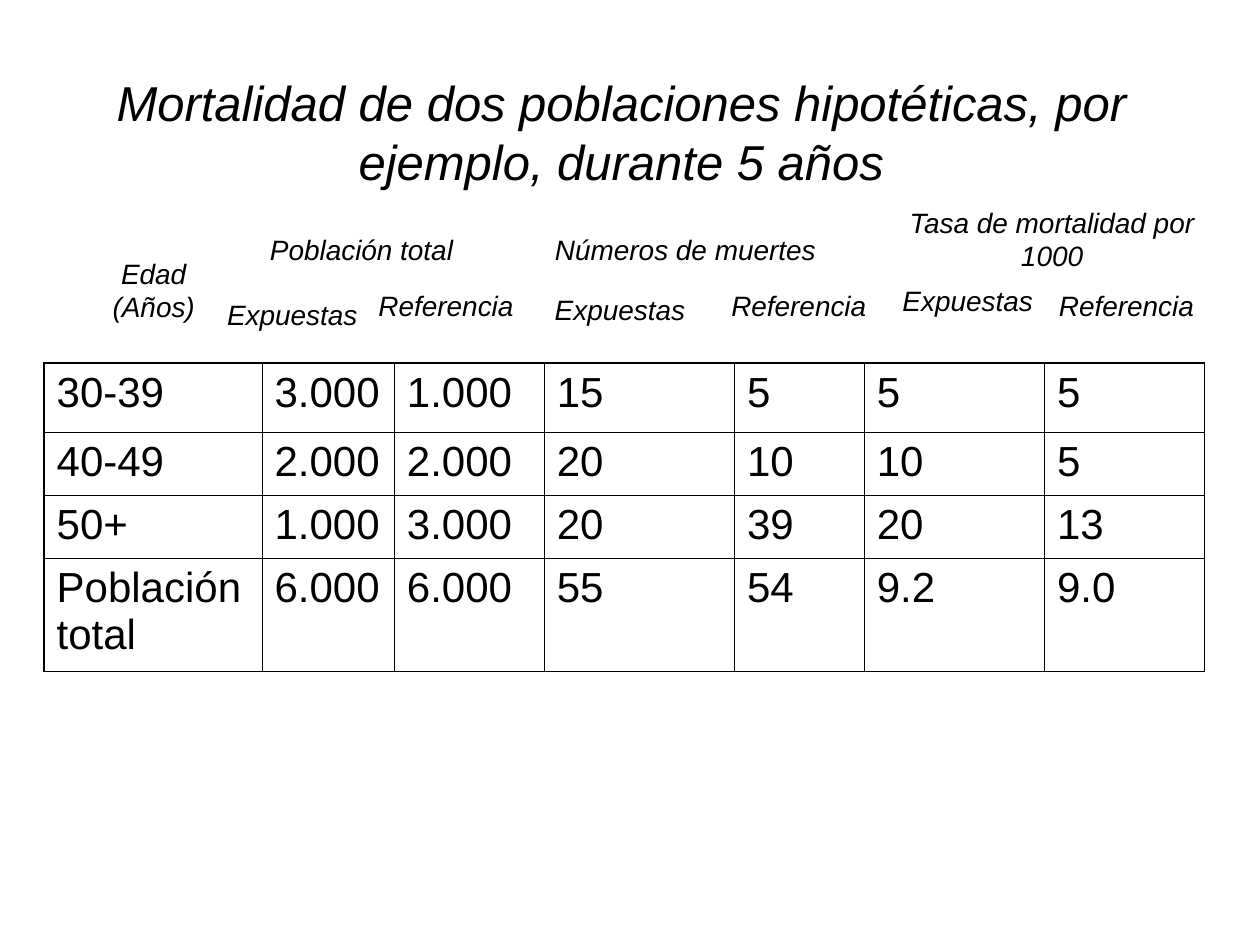
from dataclasses import dataclass

from lxml.etree import SubElement
from pptx import Presentation
from pptx.dml.color import RGBColor
from pptx.enum.text import MSO_ANCHOR, MSO_AUTO_SIZE, PP_ALIGN
from pptx.oxml.ns import qn
from pptx.util import Inches, Pt


@dataclass(frozen=True)
class Theme:
    font: str = "Arial"
    ink: str = "000000"
    title_size: float = 28
    heading_size: float = 16
    cell_size: float = 24
    outer_line: float = 1.08
    inner_line: float = 0.45


@dataclass(frozen=True)
class Heading:
    text: str
    left: float
    top: float
    width: float
    height: float


THEME = Theme()

TITLE = Heading("Mortalidad de dos poblaciones hipotéticas, por ejemplo, durante 5 años",
                0.43, 0.68, 9, 0.73)

HEADINGS = [
    Heading("Edad\v(Años)", 0.51, 1.78, 1.42, 1.04),
    Heading("Población total", 1.77, 1.78, 2.2, 0.39),
    Heading("Expuestas", 1.69, 2.33, 1.26, 0.33),
    Heading("Referencia", 2.87, 2.18, 1.34, 0.49),
    Heading("Números de muertes", 4.06, 1.78, 2.76, 0.39),
    Heading("Expuestas", 4.29, 2.25, 1.26, 0.41),
    Heading("Referencia", 5.63, 2.18, 1.42, 0.49),
    Heading("Referencia", 8.23, 2.18, 1.42, 0.49),
    Heading("Expuestas", 7.05, 2.18, 1.26, 0.41),
    Heading("Tasa de mortalidad por 1000", 6.97, 1.7, 2.76, 0.39),
]

MORTALITY = [
    ["30-39", "3.000", "1.000", "15", "5", "5", "5"],
    ["40-49", "2.000", "2.000", "20", "10", "10", "5"],
    ["50+", "1.000", "3.000", "20", "39", "20", "13"],
    ["Población total", "6.000", "6.000", "55", "54", "9.2", "9.0"],
]
COLUMN_WIDTHS = [1.73, 1.05, 1.19, 1.51, 1.03, 1.43, 1.27]
ROW_HEIGHTS = [0.55, 0.5, 0.5, 0.9]


def style_font(paragraph, size: float, italic: bool) -> None:
    font = paragraph.font
    font.name = THEME.font
    font.size = Pt(size)
    font.italic = italic
    font.color.rgb = RGBColor.from_string(THEME.ink)


def fill_heading(shape, heading: Heading, size: float) -> None:
    shape.left, shape.top = Inches(heading.left), Inches(heading.top)
    shape.width, shape.height = Inches(heading.width), Inches(heading.height)
    frame = shape.text_frame
    frame.text = heading.text
    frame.word_wrap = True
    frame.auto_size = MSO_AUTO_SIZE.NONE
    frame.vertical_anchor = MSO_ANCHOR.MIDDLE
    paragraph = frame.paragraphs[0]
    paragraph.alignment = PP_ALIGN.CENTER
    style_font(paragraph, size, italic=True)


def add_heading(slide, heading: Heading) -> None:
    box = slide.shapes.add_textbox(0, 0, 0, 0)
    fill_heading(box, heading, THEME.heading_size)


def set_borders(cell, outer_sides: dict[str, bool]) -> None:
    properties = cell._tc.get_or_add_tcPr()
    for side, is_outer in outer_sides.items():
        width = THEME.outer_line if is_outer else THEME.inner_line
        line = SubElement(properties, qn(f"a:ln{side}"), w=str(Pt(width)))
        SubElement(SubElement(line, qn("a:solidFill")), qn("a:srgbClr"), val=THEME.ink)


def add_mortality_table(slide, left: float, top: float) -> None:
    last_row, last_column = len(ROW_HEIGHTS) - 1, len(COLUMN_WIDTHS) - 1
    table = slide.shapes.add_table(
        len(ROW_HEIGHTS), len(COLUMN_WIDTHS), Inches(left), Inches(top),
        Inches(sum(COLUMN_WIDTHS)), Inches(sum(ROW_HEIGHTS))).table
    table.first_row = table.horz_banding = False
    for column, width in zip(table.columns, COLUMN_WIDTHS):
        column.width = Inches(width)
    for row, height in zip(table.rows, ROW_HEIGHTS):
        row.height = Inches(height)
    for row_index, age_group in enumerate(MORTALITY):
        for column_index, value in enumerate(age_group):
            cell = table.cell(row_index, column_index)
            cell.text = value
            style_font(cell.text_frame.paragraphs[0], THEME.cell_size, italic=False)
            set_borders(cell, {
                "L": column_index == 0,
                "R": column_index == last_column,
                "T": row_index == 0,
                "B": row_index == last_row,
            })
            cell.fill.background()


def main() -> None:
    presentation = Presentation()
    presentation.slide_width, presentation.slide_height = Inches(10), Inches(7.5)
    slide = presentation.slides.add_slide(presentation.slide_layouts[5])
    fill_heading(slide.shapes.title, TITLE, THEME.title_size)
    add_mortality_table(slide, 0.35, 2.88)
    for heading in HEADINGS:
        add_heading(slide, heading)
    presentation.save("out.pptx")


if __name__ == "__main__":
    main()
